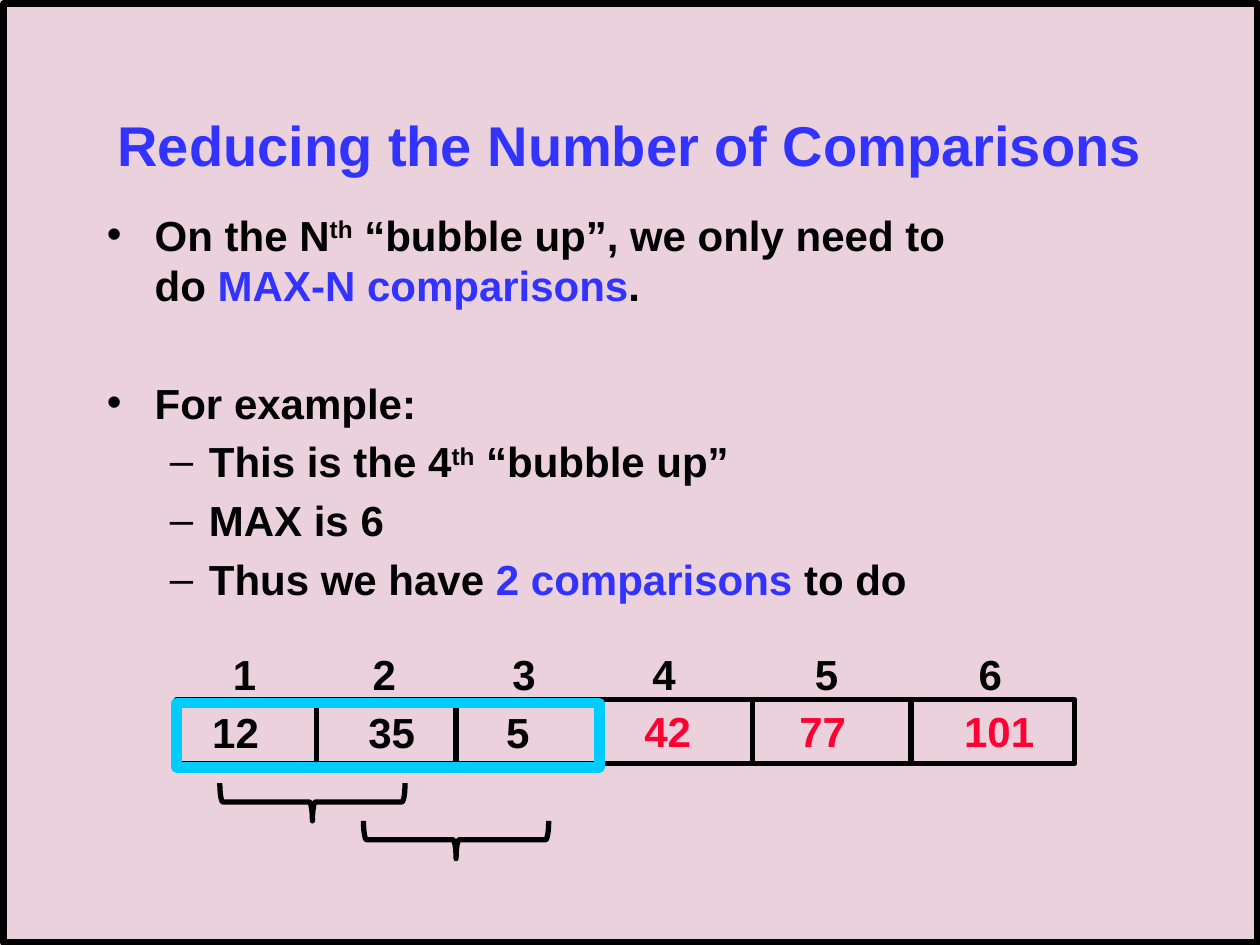
from pptx import Presentation
from pptx.util import Inches, Pt
from pptx.dml.color import RGBColor as RGB
from pptx.enum.shapes import MSO_SHAPE as Kind, MSO_CONNECTOR as Link
from pptx.enum.text import PP_ALIGN as Align, MSO_ANCHOR as Anchor
from lxml.etree import SubElement as Sub
from pptx.oxml.ns import qn

BLACK, BLUE, RED, CYAN = "000000", "3333FF", "FF0033", "00CCFF"
tint = RGB.from_string

deck = Presentation()
deck.slide_width, deck.slide_height = Inches(10), Inches(7.5)
slide = deck.slides.add_slide(deck.slide_layouts[6])
slide.background.fill.solid()
slide.background.fill.fore_color.rgb = tint("EAD1DC")
shapes = slide.shapes


def draw(kind, x, y, w, h, width, color=BLACK):
    shape = shapes.add_shape(kind, Inches(x), Inches(y), Inches(w), Inches(h))
    shape.shadow.inherit = False
    shape.fill.background()
    shape.line.color.rgb = tint(color)
    shape.line.width = Pt(width)
    return shape


def write(para, text, color=BLACK, size=24, base=0):
    run = para.add_run()
    run.text = text
    font = run.font
    font.name, font.size, font.bold = "Arial", Pt(size), True
    font.color.rgb = tint(color)
    if base:
        font._element.set("baseline", str(base * 1000))


draw(Kind.RECTANGLE, 0.03, 0.03, 9.95, 7.45, 3.75)

title = shapes.add_textbox(Inches(0.75), Inches(0.67), Inches(8.5), Inches(0.95)).text_frame
title.word_wrap = True
title.vertical_anchor = Anchor.MIDDLE
title.paragraphs[0].alignment = Align.CENTER
write(title.paragraphs[0], "Reducing the Number of Comparisons", BLUE, 32)

body = shapes.add_textbox(Inches(0.75), Inches(1.61), Inches(8.5), Inches(3.5)).text_frame
body.word_wrap = True
points = [
    (0, 0, [("On the N",), ("th", BLACK, 24, 30), (" “bubble up”, we only need to ",), None,
            ("do ",), ("MAX-N comparisons", BLUE), (".",)]),
    (0, 38.4, [("For example:",)]),
    (1, 4.8, [("This is the 4",), ("th", BLACK, 24, 30), (" “bubble up”",)]),
    (1, 4.8, [("MAX is 6",)]),
    (1, 4.8, [("Thus we have ",), ("2 comparisons", BLUE), (" to do",)]),
]
for i, (level, gap, runs) in enumerate(points):
    para = body.paragraphs[0] if i == 0 else body.add_paragraph()
    para.level = level
    para.space_before = Pt(gap)
    left, hang, mark = [(0.38, 0.38, "•"), (0.81, 0.31, "–")][level]
    props = para._p.get_or_add_pPr()
    props.set("marL", str(Inches(left)))
    props.set("indent", str(-Inches(hang)))
    Sub(Sub(props, qn("a:buClr")), qn("a:srgbClr"), val=BLACK)
    Sub(props, qn("a:buFont"), typeface="Arial")
    Sub(props, qn("a:buChar"), char=mark)
    for run in runs:
        if run:
            write(para, *run)
        else:
            para.add_line_break()

draw(Kind.RECTANGLE, 1.4, 5.55, 7.13, 0.51, 3)
for x in (2.51, 3.62, 4.76, 5.97, 7.23):
    line = shapes.add_connector(Link.STRAIGHT, Inches(x), Inches(5.55), Inches(x), Inches(6.06))
    line.line.color.rgb = tint(BLACK)
    line.line.width = Pt(3)
    Sub(line._element.spPr, qn("a:effectLst"))

labels = [(x, 5.1, str(i), BLACK)
          for i, x in enumerate((1.94, 3.05, 4.16, 5.27, 6.56, 7.86), 1)]
cells = [(1.87, 5.56, "12", BLACK), (3.11, 5.56, "35", BLACK), (4.11, 5.56, "5", BLACK),
         (5.3, 5.55, "42", RED), (6.53, 5.55, "77", RED), (7.93, 5.55, "101", RED)]
for x, y, text, color in labels + cells:
    box = shapes.add_textbox(Inches(x - 0.45), Inches(y), Inches(0.9), Inches(0.5)).text_frame
    box.word_wrap = True
    box.paragraphs[0].alignment = Align.CENTER
    write(box.paragraphs[0], text, color)

draw(Kind.RECTANGLE, 1.4, 5.58, 3.36, 0.51, 6, CYAN)
for x, y in ((2.33, 5.63), (3.47, 5.93)):
    brace = draw(Kind.LEFT_BRACE, x, y, 0.3, 1.47, 3)
    brace.rotation = 270
    brace.adjustments[0] = 0.083

deck.save("out.pptx")
